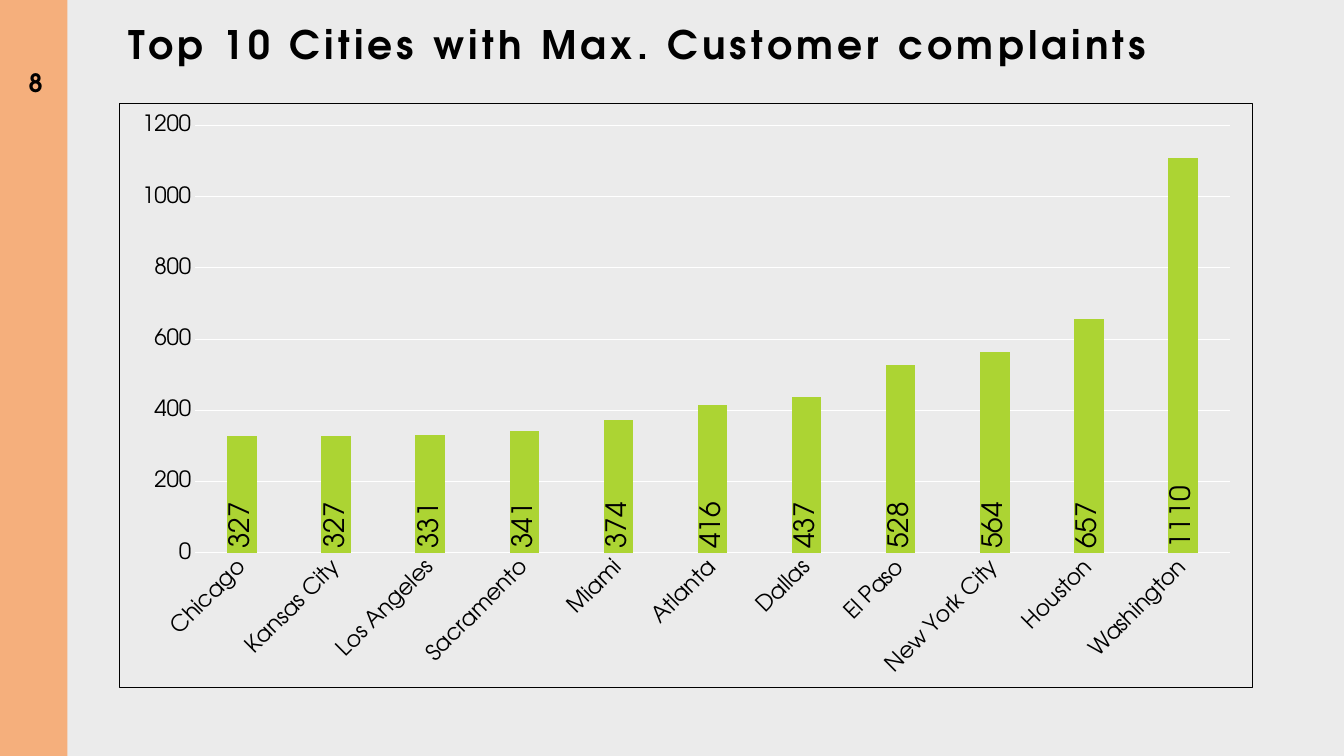
from lxml.etree import SubElement
from pptx import Presentation
from pptx.chart.data import CategoryChartData
from pptx.dml.color import RGBColor
from pptx.enum.chart import XL_CHART_TYPE, XL_LABEL_POSITION, XL_TICK_MARK
from pptx.enum.shapes import MSO_SHAPE
from pptx.enum.text import MSO_ANCHOR, PP_ALIGN
from pptx.oxml import parse_xml
from pptx.oxml.ns import nsdecls, qn
from pptx.util import Inches, Pt

FONT = "TeX Gyre Adventor"
COLORS = {
    "background": "EBEBEB",
    "band": "F5AF7C",
    "text": "000000",
    "bar": "ACD433",
    "grid": "FFFFFF",
}
COMPLAINTS = {
    "Chicago": 327,
    "Kansas City": 327,
    "Los Angeles": 331,
    "Sacramento": 341,
    "Miami": 374,
    "Atlanta": 416,
    "Dallas": 437,
    "El Paso": 528,
    "New York City": 564,
    "Houston": 657,
    "Washington": 1110,
}


def style_font(font, size, bold=False):
    font.name = FONT
    font.size = Pt(size)
    font.bold = bold
    font.color.rgb = RGBColor.from_string(COLORS["text"])


def add_bold_text(left, top, width, height, text, size):
    """Add a one-line text box and return its frame, paragraph and run."""
    frame = slide.shapes.add_textbox(
        Inches(left), Inches(top), Inches(width), Inches(height)
    ).text_frame
    frame.word_wrap = True
    paragraph = frame.paragraphs[0]
    run = paragraph.add_run()
    run.text = text
    style_font(run.font, size, bold=True)
    return frame, paragraph, run


presentation = Presentation()
presentation.slide_width = Inches(13.33)
presentation.slide_height = Inches(7.5)
slide = presentation.slides.add_slide(presentation.slide_layouts[6])
slide.background.fill.solid()
slide.background.fill.fore_color.rgb = RGBColor.from_string(COLORS["background"])

# Side band with the page number
band = slide.shapes.add_shape(
    MSO_SHAPE.RECTANGLE, Inches(0), Inches(0), Inches(0.67), Inches(7.5)
)
band.shadow.inherit = False
band.fill.solid()
band.fill.fore_color.rgb = RGBColor.from_string(COLORS["band"])
band.line.fill.background()

number_frame, number_paragraph, _ = add_bold_text(0.02, 0.62, 0.67, 0.4, "8", 18)
number_frame.vertical_anchor = MSO_ANCHOR.BOTTOM
number_paragraph.alignment = PP_ALIGN.CENTER

# Title
_, title_paragraph, title_run = add_bold_text(
    1.18, 0.24, 11.25, 1.17, "Top 10 Cities with Max. Customer complaints", 28
)
title_paragraph.line_spacing = 0.8
title_run.font._element.set("spc", "300")

# Chart
chart_data = CategoryChartData()
chart_data.categories = list(COMPLAINTS)
chart_data.add_series("Series 1", list(COMPLAINTS.values()))
chart = slide.shapes.add_chart(
    XL_CHART_TYPE.COLUMN_CLUSTERED,
    Inches(1.18), Inches(1.02), Inches(11.25), Inches(5.81),
    chart_data,
).chart
chart.has_legend = False
chart.has_title = False
style_font(chart.font, 16)

category_axis, value_axis = chart.category_axis, chart.value_axis
for axis in (category_axis, value_axis):
    axis.major_tick_mark = XL_TICK_MARK.NONE
    axis.minor_tick_mark = XL_TICK_MARK.NONE
    style_font(axis.tick_labels.font, 16)
value_axis.minimum_scale = 0
value_axis.maximum_scale = 1200
value_axis.major_unit = 200
value_axis.format.line.fill.background()
for line in (category_axis.format.line, value_axis.major_gridlines.format.line):
    line.color.rgb = RGBColor.from_string(COLORS["grid"])
    line.width = Pt(0.75)

plot = chart.plots[0]
plot.gap_width = 219
plot.overlap = -27
plot.vary_by_categories = False
bars = plot.series[0]
bars.format.fill.solid()
bars.format.fill.fore_color.rgb = RGBColor.from_string(COLORS["bar"])

labels = bars.data_labels
labels.show_value = True
labels.position = XL_LABEL_POSITION.INSIDE_BASE
style_font(labels.font, 20)

# Text rotation, in degrees
for element, angle in ((category_axis._element, -45), (labels._element, -90)):
    body = element.find(qn("c:txPr")).find(qn("a:bodyPr"))
    body.set("rot", str(angle * 60000))
    body.set("vert", "horz")

# Chart border
frame_format = parse_xml(f"<c:spPr {nsdecls('c', 'a')}><a:noFill/></c:spPr>")
border = SubElement(frame_format, qn("a:ln"), w=str(Pt(0.75)))
border_fill = SubElement(border, qn("a:solidFill"))
SubElement(border_fill, qn("a:srgbClr"), val=COLORS["text"])
chart.element.find(qn("c:chart")).addnext(frame_format)

presentation.save("out.pptx")
